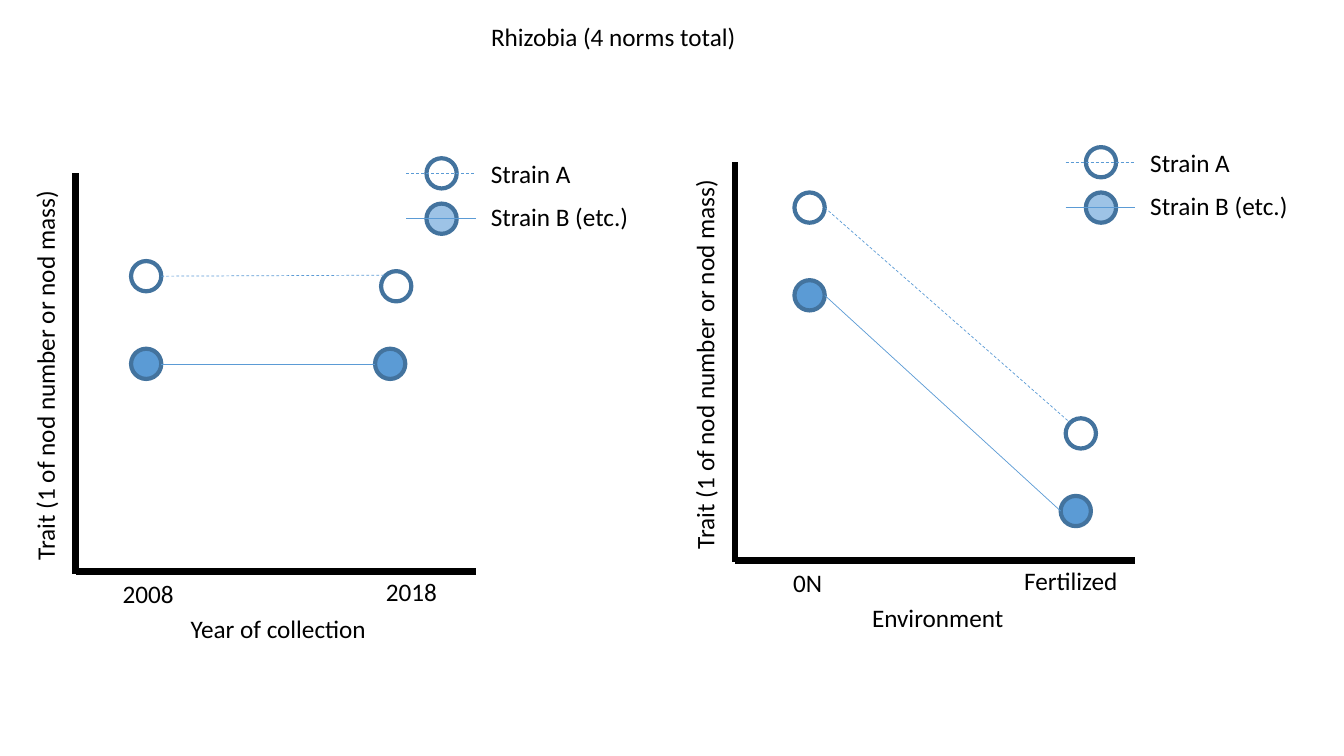
from pptx import Presentation
from pptx.dml.color import RGBColor
from pptx.enum.dml import MSO_LINE
from pptx.enum.shapes import MSO_CONNECTOR, MSO_SHAPE
from pptx.enum.text import MSO_ANCHOR, MSO_AUTO_SIZE, PP_ALIGN
from pptx.oxml.ns import qn
from pptx.util import Inches, Pt
from lxml import etree

COLORS = {
    "ink": "000000",
    "outline": "43739E",
    "strain": "5B9BD5",
    "legend": "9DC3E6",
}
TEXT_HEIGHT = 0.4
DOT_SIZE = 0.3
AXIS_LENGTH = 3.97
BASELINE = 3.95

STRAINS = {
    "Strain A": {"dash": MSO_LINE.DASH, "fill": None, "legend_fill": None,
                 "line_end": (-0.11, -0.11), "legend_y": 0,
                 "label_y": -0.2, "label_width": 1},
    "Strain B (etc.)": {"dash": None, "fill": "strain", "legend_fill": "legend",
                        "line_end": (-0.15, 0), "legend_y": 0.45,
                        "label_y": 0.23, "label_width": 1.58},
}

PANELS = [
    {"origin": (0.75, 1.72),
     "axis_title": ("Year of collection", 1.96),
     "categories": [("2008", 0.71), ("2018", 0.71)],
     "norms": {"Strain A": [(0.7, 1.02), (3.18, 1.12)],
               "Strain B (etc.)": [(0.7, 1.89), (3.12, 1.89)]}},
    {"origin": (7.29, 1.61),
     "axis_title": ("Environment", 1.52),
     "categories": [("0N", 0.49), ("Fertilized", 1.14)],
     "norms": {"Strain A": [(0.74, 0.45), (3.43, 2.69)],
               "Strain B (etc.)": [(0.74, 1.32), (3.38, 3.46)]}},
]


def color(name):
    return RGBColor.from_string(COLORS[name])


def apply_format(target, values):
    for attribute, value in values.items():
        setattr(target, attribute, value)


def format_label(label, text, left, top, width, align=PP_ALIGN.LEFT):
    apply_format(label, {"left": Inches(left), "top": Inches(top),
                         "width": Inches(width), "height": Inches(TEXT_HEIGHT)})
    frame = label.text_frame
    apply_format(frame, {"text": text, "word_wrap": False,
                         "auto_size": MSO_AUTO_SIZE.SHAPE_TO_FIT_TEXT,
                         "vertical_anchor": MSO_ANCHOR.TOP})
    paragraph = frame.paragraphs[0]
    paragraph.alignment = align
    font = paragraph.runs[0].font
    apply_format(font, {"name": "Calibri", "size": Pt(18)})
    font.color.rgb = color("ink")


def add_label(slide, text, left, top, width, align=PP_ALIGN.LEFT):
    label = slide.shapes.add_textbox(0, 0, 0, 0)
    format_label(label, text, left, top, width, align)
    return label


def add_centered_label(slide, text, center, top, width):
    add_label(slide, text, center - width / 2, top, width, PP_ALIGN.CENTER)


def add_line(slide, start, end, line_color, weight, dash=None):
    segment = slide.shapes.add_connector(
        MSO_CONNECTOR.STRAIGHT, *(Inches(value) for value in (*start, *end)))
    segment.line.color.rgb = color(line_color)
    apply_format(segment.line, {"width": Pt(weight), "dash_style": dash})
    properties = segment._element.find(qn("p:spPr"))
    etree.SubElement(properties, qn("a:effectLst"))


def add_dot(slide, center, fill):
    corner = [Inches(value - DOT_SIZE / 2) for value in center]
    dot = slide.shapes.add_shape(
        MSO_SHAPE.OVAL, *corner, Inches(DOT_SIZE), Inches(DOT_SIZE))
    dot.shadow.inherit = False
    dot.line.color.rgb = color("outline")
    dot.line.width = Pt(3)
    if fill:
        dot.fill.solid()
        dot.fill.fore_color.rgb = color(fill)
    else:
        dot.fill.background()


def add_axes(slide, x, y, axis_title, categories):
    add_line(slide, (x, y), (x, y + AXIS_LENGTH), "ink", 4.5)
    add_line(slide, (x, y + BASELINE), (x + AXIS_LENGTH, y + BASELINE), "ink", 4.5)
    title, title_width = axis_title
    add_centered_label(slide, title, x + 2.01, y + 4.32, title_width)
    for (category, width), (dx, dy) in zip(categories, [(0.72, 3.97), (3.33, 3.95)]):
        add_centered_label(slide, category, x + dx, y + dy, width)
    trait = add_label(slide, "Trait (1 of nod number or nod mass)",
                      x - 2.26, y + 1.78, 3.91)
    trait.rotation = 270


def add_legend_entry(slide, x, y, name, style):
    row = y + style["legend_y"]
    add_dot(slide, (x + 3.63, row), style["legend_fill"])
    add_line(slide, (x + 3.28, row), (x + AXIS_LENGTH, row),
             "strain", 0.5, style["dash"])
    add_label(slide, name, x + 4.02, y + style["label_y"], style["label_width"])


def add_norm(slide, x, y, points, style):
    start, end = [(x + dx, y + dy) for dx, dy in points]
    for center in (start, end):
        add_dot(slide, center, style["fill"])
    shift_x, shift_y = style["line_end"]
    add_line(slide, (start[0] + DOT_SIZE / 2, start[1]),
             (end[0] + shift_x, end[1] + shift_y), "strain", 0.5, style["dash"])


def add_panel(slide, panel):
    x, y = panel["origin"]
    add_axes(slide, x, y, panel["axis_title"], panel["categories"])
    for name, style in STRAINS.items():
        add_legend_entry(slide, x, y, name, style)
        add_norm(slide, x, y, panel["norms"][name], style)


def main():
    presentation = Presentation()
    apply_format(presentation, {"slide_width": Inches(13.33),
                                "slide_height": Inches(7.5)})
    slide = presentation.slides.add_slide(presentation.slide_layouts[5])
    format_label(slide.shapes.title, "Rhizobia (4 norms total)", 4.77, 0.16, 2.65)
    for panel in PANELS:
        add_panel(slide, panel)
    presentation.save("out.pptx")


main()
